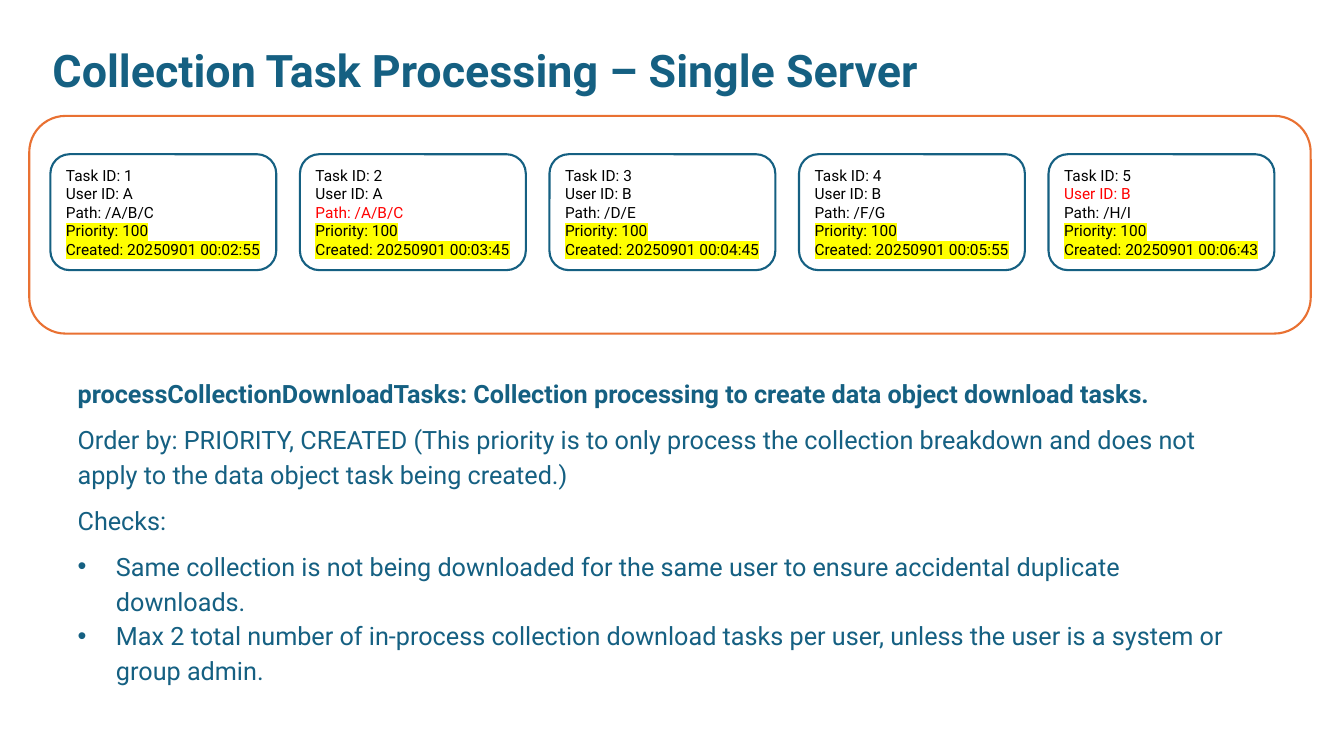
from lxml.etree import SubElement
from pptx import Presentation
from pptx.dml.color import RGBColor
from pptx.enum.shapes import MSO_SHAPE
from pptx.enum.text import MSO_ANCHOR, MSO_AUTO_SIZE, PP_ALIGN
from pptx.oxml.ns import qn
from pptx.util import Inches, Pt

TEAL = RGBColor(0x15, 0x60, 0x82)
ORANGE = RGBColor(0xE9, 0x71, 0x32)
WHITE = RGBColor(0xFF, 0xFF, 0xFF)
BLACK = RGBColor(0, 0, 0)
RED = RGBColor(0xFF, 0, 0)
YELLOW = RGBColor(0xFF, 0xFF, 0)
FONT = "Roboto"

TITLE = "Collection Task Processing – Single Server"
TASKS = [
    ("1", "A", "/A/B/C", "100", "20250901 00:02:55"),
    ("2", "A", "/A/B/C", "100", "20250901 00:03:45"),
    ("3", "B", "/D/E", "100", "20250901 00:04:45"),
    ("4", "B", "/F/G", "100", "20250901 00:05:55"),
    ("5", "B", "/H/I", "100", "20250901 00:06:43"),
]
FIELDS = ("Task ID", "User ID", "Path", "Priority", "Created")
SORT_FIELDS = ("Priority", "Created")
BLOCKED = {("2", "Path"), ("5", "User ID")}

STATEMENTS = [
    "processCollectionDownloadTasks: Collection processing to create data object download tasks.",
    "Order by: PRIORITY, CREATED (This priority is to only process the collection breakdown "
    "and does not apply to the data object task being created.)",
    "Checks:",
]
CHECKS = [
    "Same collection is not being downloaded for the same user to ensure accidental duplicate downloads.",
    "Max 2 total number of in-process collection download tasks per user, "
    "unless the user is a system or group admin.",
]

CARD_LEFT, CARD_TOP, CARD_WIDTH, CARD_HEIGHT = 0.5, 1.53, 2.24, 1.15
CARD_PITCH = 2.475


def style(run, size, color, bold=False):
    run.font.size = Pt(size)
    run.font.bold = bold
    run.font.color.rgb = color
    run.font.name = FONT


def highlight(run, color):
    properties = run.font._element if hasattr(run.font, "_element") else run._r.get_or_add_rPr()
    mark = SubElement(properties, qn("a:highlight"))
    SubElement(mark, qn("a:srgbClr")).set("val", str(color))
    properties.find(qn("a:solidFill")).addnext(mark)


def place(shape, left, top, width, height):
    shape.left, shape.top = Inches(left), Inches(top)
    shape.width, shape.height = Inches(width), Inches(height)


def add_rounded(slide, left, top, width, height, outline):
    box = slide.shapes.add_shape(
        MSO_SHAPE.ROUNDED_RECTANGLE, Inches(left), Inches(top), Inches(width), Inches(height))
    box.shadow.inherit = False
    box.fill.solid()
    box.fill.fore_color.rgb = WHITE
    box.line.color.rgb = outline
    box.line.width = Pt(1.5)
    return box


def add_task(slide, index, task):
    card = add_rounded(slide, CARD_LEFT + index * CARD_PITCH, CARD_TOP, CARD_WIDTH, CARD_HEIGHT, TEAL)
    frame = card.text_frame
    frame.word_wrap = True
    frame.vertical_anchor = MSO_ANCHOR.MIDDLE
    frame.text = "\n".join(f"{field}: {value}" for field, value in zip(FIELDS, task))
    for field, paragraph in zip(FIELDS, frame.paragraphs):
        paragraph.alignment = PP_ALIGN.LEFT
        run = paragraph.runs[0]
        style(run, 11, RED if (task[0], field) in BLOCKED else BLACK)
        if field in SORT_FIELDS:
            highlight(run, YELLOW)


def fill_title(title):
    place(title, 0.42, 0.37, 10.42, 0.64)
    frame = title.text_frame
    frame.text = TITLE
    frame.word_wrap = True
    frame.auto_size = MSO_AUTO_SIZE.NONE
    frame.vertical_anchor = MSO_ANCHOR.MIDDLE
    frame.paragraphs[0].alignment = PP_ALIGN.LEFT
    style(frame.paragraphs[0].runs[0], 32, TEAL, bold=True)


def fill_body(body):
    place(body, 0.67, 3.66, 11.8, 2.86)
    frame = body.text_frame
    frame.text = "\n".join(STATEMENTS + CHECKS)
    frame.word_wrap = True
    frame.auto_size = MSO_AUTO_SIZE.NONE
    frame.vertical_anchor = MSO_ANCHOR.TOP
    for index, paragraph in enumerate(frame.paragraphs):
        is_check = index >= len(STATEMENTS)
        indent = Inches(0.38) if is_check else 0
        properties = paragraph._p.get_or_add_pPr()
        properties.set("marL", str(indent))
        properties.set("indent", str(-indent))
        if is_check:
            SubElement(properties, qn("a:buFont")).set("typeface", "Arial")
            SubElement(properties, qn("a:buChar")).set("char", "•")
        else:
            SubElement(properties, qn("a:buNone"))
        paragraph.line_spacing = 1.15
        paragraph.space_before = Pt(0)
        paragraph.space_after = Pt(0 if index == len(STATEMENTS) else 8)
        style(paragraph.runs[0], 18, TEAL, bold=index == 0)


def main():
    deck = Presentation()
    deck.slide_width, deck.slide_height = Inches(13.33), Inches(7.5)
    slide = deck.slides.add_slide(deck.slide_layouts[1])
    fill_title(slide.shapes.title)
    add_rounded(slide, 0.29, 1.15, 12.71, 2.16, ORANGE)
    for index, task in enumerate(TASKS):
        add_task(slide, index, task)
    fill_body(slide.placeholders[1])
    deck.save("out.pptx")


if __name__ == "__main__":
    main()
